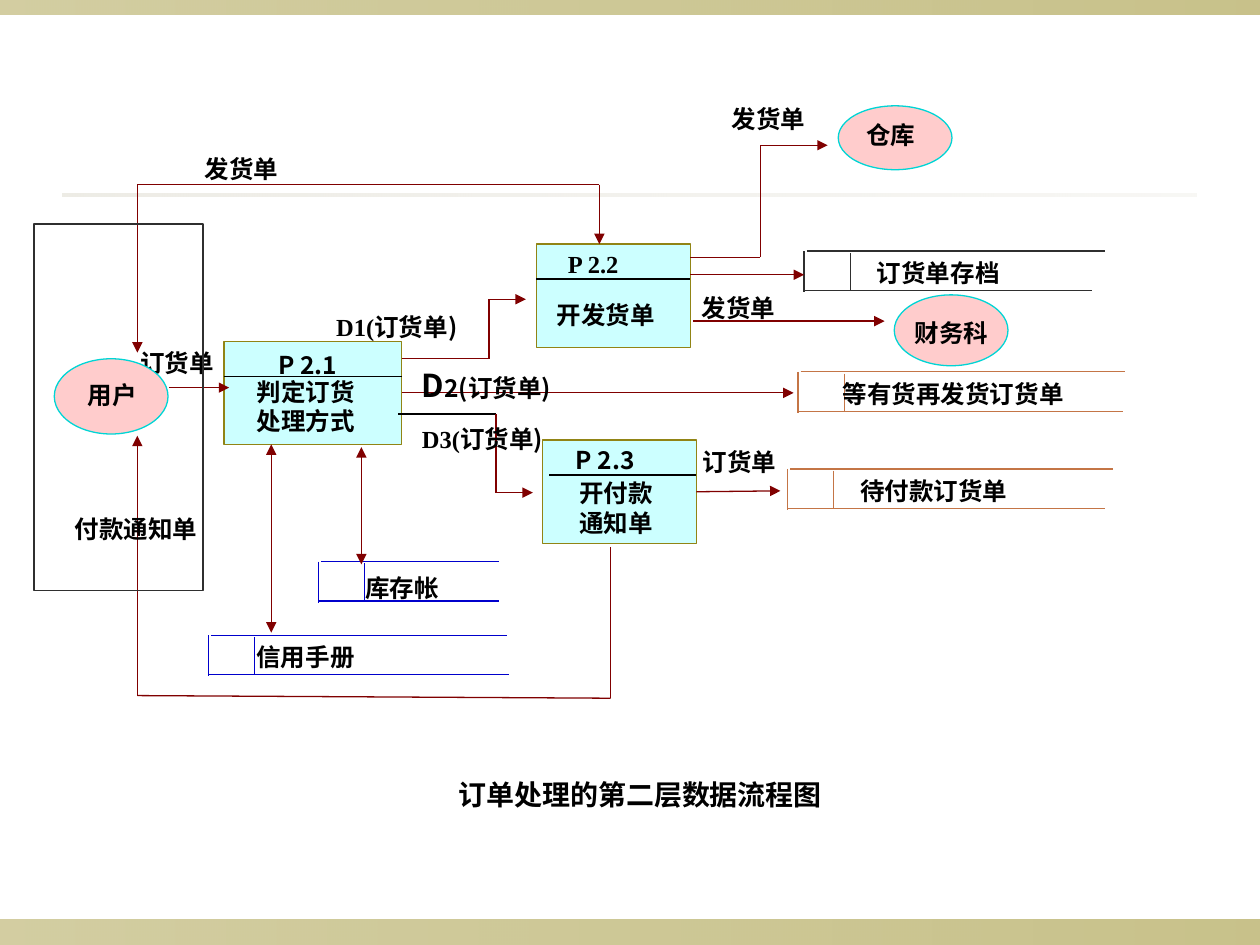
import itertools

import pptx
import pptx.dml.color
import pptx.enum.shapes
import pptx.enum.text
import pptx.oxml.ns
import pptx.util
from lxml import etree

Pt = pptx.util.Pt
qn = pptx.oxml.ns.qn
SHAPE = pptx.enum.shapes.MSO_SHAPE
SERIF, SANS = "Times New Roman", "Noto Sans CJK SC"
COLORS = {
    "band": "918415", "rule": "DCD9CC", "process": "CCFFFF", "entity": "FFCCCC",
    "entity_edge": "00D5D5", "flow": "800000", "ledger": "0000CC",
    "archive": "2F2F2F", "order": "C47546", "text": "000000",
}


def rgb(color):
    """Return the named colour."""
    return pptx.dml.color.RGBColor.from_string(COLORS[color])


def add_band(slide, top, height, color, opacities, left=0, width=720):
    """Draw a horizontal band that fades between two opacities."""
    band = slide.shapes.add_shape(SHAPE.RECTANGLE, Pt(left), Pt(top), Pt(width), Pt(height))
    band.shadow.inherit = False
    band.line.fill.background()
    band.fill.gradient()
    band.fill.gradient_angle = 0
    for stop in band.fill.gradient_stops:
        stop.color.rgb = rgb(color)
    tints = band._element.spPr.iter(qn("a:srgbClr"))
    for tint, opacity in zip(tints, opacities):
        etree.SubElement(tint, qn("a:alpha")).set("val", str(opacity * 1000))


def add_node(slide, kind, left, top, width, height, edge, fill=None):
    """Draw an outlined shape and return it."""
    node = slide.shapes.add_shape(kind, Pt(left), Pt(top), Pt(width), Pt(height))
    node.shadow.inherit = False
    node.line.color.rgb = rgb(edge)
    node.line.width = Pt(0.75)
    if fill:
        node.fill.solid()
        node.fill.fore_color.rgb = rgb(fill)
    else:
        node.fill.background()
    return node


def add_line(slide, start, end, color, head=False, tail=False):
    """Draw a straight line with optional arrowheads and return it."""
    line = slide.shapes.add_connector(
        pptx.enum.shapes.MSO_CONNECTOR.STRAIGHT, *map(Pt, start + end))
    line.line.color.rgb = rgb(color)
    line.line.width = Pt(0.75)
    for tag, shown in (("a:headEnd", head), ("a:tailEnd", tail)):
        if shown:
            etree.SubElement(line.line._get_or_add_ln(), qn(tag)).set("type", "triangle")
    etree.SubElement(line._element.spPr, qn("a:effectLst"))
    return line


def add_flow(slide, points, head=False, tail=True):
    """Draw a data flow through the given points."""
    legs = list(itertools.pairwise(points))
    for number, (start, end) in enumerate(legs, 1):
        add_line(slide, start, end, "flow", head and number == 1, tail and number == len(legs))


def add_process(slide, left, top, width, inset=0):
    """Draw a process box with its number strip and return the box."""
    box = add_node(slide, SHAPE.RECTANGLE, left, top, width, 59, "band", "process")
    add_line(slide, (left + inset, top + 20), (left + width, top + 20), "text")
    return box


def add_store(slide, left, top, top_right, bottom_right, color):
    """Draw an open-ended data store."""
    bottom = top + 22.5
    add_line(slide, (left, top), (left, bottom + 1), color)
    add_line(slide, (left, bottom), (bottom_right, bottom), color)
    add_line(slide, (left + 1.5, top), (top_right, top), color)
    add_line(slide, (left + 26.5, top + 1), (left + 26.5, bottom), color)


def add_label(slide, left, top, width, *lines, size=14, font=SERIF, centered=False):
    """Write bold lines, each a string or a list of (text, size, font) runs."""
    height = 10 + 17 * len(lines)
    frame = slide.shapes.add_textbox(Pt(left), Pt(top), Pt(width), Pt(height)).text_frame
    frame.word_wrap = True
    frame.margin_top = Pt(5)
    for number, line in enumerate(lines):
        paragraph = frame.add_paragraph() if number else frame.paragraphs[0]
        paragraph.line_spacing = Pt(17)
        if centered:
            paragraph.alignment = pptx.enum.text.PP_ALIGN.CENTER
        runs = [(line, size, font)] if isinstance(line, str) else line
        for text, run_size, run_font in runs:
            run = paragraph.add_run()
            run.text = text
            run.font.size = Pt(run_size)
            run.font.bold = True
            run.font.color.rgb = rgb("text")
            run.font.name = run_font
            etree.SubElement(run.font._element, qn("a:ea")).set("typeface", SANS)


def add_flows(slide, judging, paying):
    """Draw all flows between processes, stores and entities."""
    to_wait = add_line(slide, (229.5, 224.5), (453.5, 224.5), "flow", tail=True)
    to_wait.begin_connect(judging, 3)
    to_pending = add_line(slide, (398, 280.5), (446, 280.5), "flow", tail=True)
    to_pending.begin_connect(paying, 3)
    add_line(slide, (227.5, 236.5), (283.5, 236.5), "text")
    add_flow(slide, [(283.5, 236.5), (283.5, 281.5), (304.5, 281.5)])
    add_flow(slide, [(229.5, 205), (279.5, 205), (279.5, 171), (300.5, 171)])
    add_flow(slide, [(394.5, 147), (434.5, 147), (434.5, 83), (473, 83)])
    add_flow(slide, [(394.5, 157), (459.5, 157)])
    add_flow(slide, [(396, 183.5), (505.5, 183.5)])
    add_flow(slide, [(349, 312.5), (349, 399), (78.5, 397.5), (78.5, 249)])
    add_flow(slide, [(96.5, 221.5), (131, 221.5)])
    add_flow(slide, [(78.5, 201.5), (78.5, 105.5), (342.5, 105.5), (342.5, 139.5)], head=True)
    add_flow(slide, [(155, 254), (155, 361.5)], head=True)
    add_flow(slide, [(206.5, 255.5), (206.5, 322.5)], head=True)


def add_labels(slide):
    """Write the names of flows, processes and stores."""
    for left, top, width, text in (
            (139.5, 361.5, 160, "信用手册"), (201.5, 322.5, 90, "库存帐"),
            (494, 142, 117, "订货单存档"), (474.5, 211.5, 186, "等有货再发货订货单"),
            (484.5, 267, 142, "待付款订货单"), (73, 193.5, 76, "订货单"),
            (394, 162, 76, "发货单"), (394.5, 250.5, 76, "订货单"),
            (35.5, 288.5, 121, "付款通知单"), (110, 83, 104, "发货单"),
            (411, 54.5, 104, "发货单"), (317.5, 137, 69, "P 2.2"),
            (311, 166.5, 90, "开发货单")):
        add_label(slide, left, top, width, text)
    add_label(slide, 322, 249, 69, "P 2.3", font=SANS)
    add_label(slide, 324, 268, 76, "开付款", "通知单")
    add_label(slide, 152, 195, 69, "P 2.1", font=SANS)
    add_label(slide, 139.5, 210, 90, "判定订货", "处理方式")
    closing = (")", 14, SANS)
    add_label(slide, 185, 173, 104, [("D1(订货单", 14, SERIF), closing])
    add_label(slide, 234, 209, 104,
              [("D", 18, SANS), ("2(", 14, SANS), ("订货单", 14, SERIF), closing])
    add_label(slide, 234, 237, 104, [("D3(订货单", 14, SERIF), closing])
    add_label(slide, 247, 441.5, 238, "订单处理的第二层数据流程图", size=16, centered=True)


def main():
    """Build the order-processing data flow slide."""
    deck = pptx.Presentation()
    deck.slide_width, deck.slide_height = Pt(720), Pt(540)
    slide = deck.slides.add_slide(deck.slide_layouts[6])
    add_band(slide, 525.5, 14.5, "band", (40, 50))
    add_band(slide, 0, 8.5, "band", (40, 50))
    add_band(slide, 110.75, 1.75, "rule", (50, 20), left=36, width=648)

    for store in ((119, 363, 289.5, 291, "ledger"), (182, 321, 285, 285, "ledger"),
                  (459.5, 143.5, 631.5, 624, "archive"), (456, 212.5, 643, 641.5, "order"),
                  (450, 268, 636, 631.5, "order")):
        add_store(slide, *store)
    add_process(slide, 306.5, 139.5, 88)
    paying = add_process(slide, 310, 251.5, 88, inset=4)
    judging = add_process(slide, 128, 195, 101.5)
    add_flows(slide, judging, paying)
    add_labels(slide)

    for left, top, height, name, name_left, name_top, font in (
            (511, 168.5, 40.5, "财务科", 515.5, 176.5, SERIF),
            (479, 60.5, 36.5, "仓库", 488, 63.5, SERIF),
            (31, 205, 43, "用户", 43, 212, SANS)):
        add_node(slide, SHAPE.OVAL, left, top, 65, height, "entity_edge", "entity")
        add_label(slide, name_left, name_top, 62, name, font=font)
    add_node(slide, SHAPE.RECTANGLE, 19.5, 128, 96.5, 209.5, "archive")
    deck.save("out.pptx")


if __name__ == "__main__":
    main()
